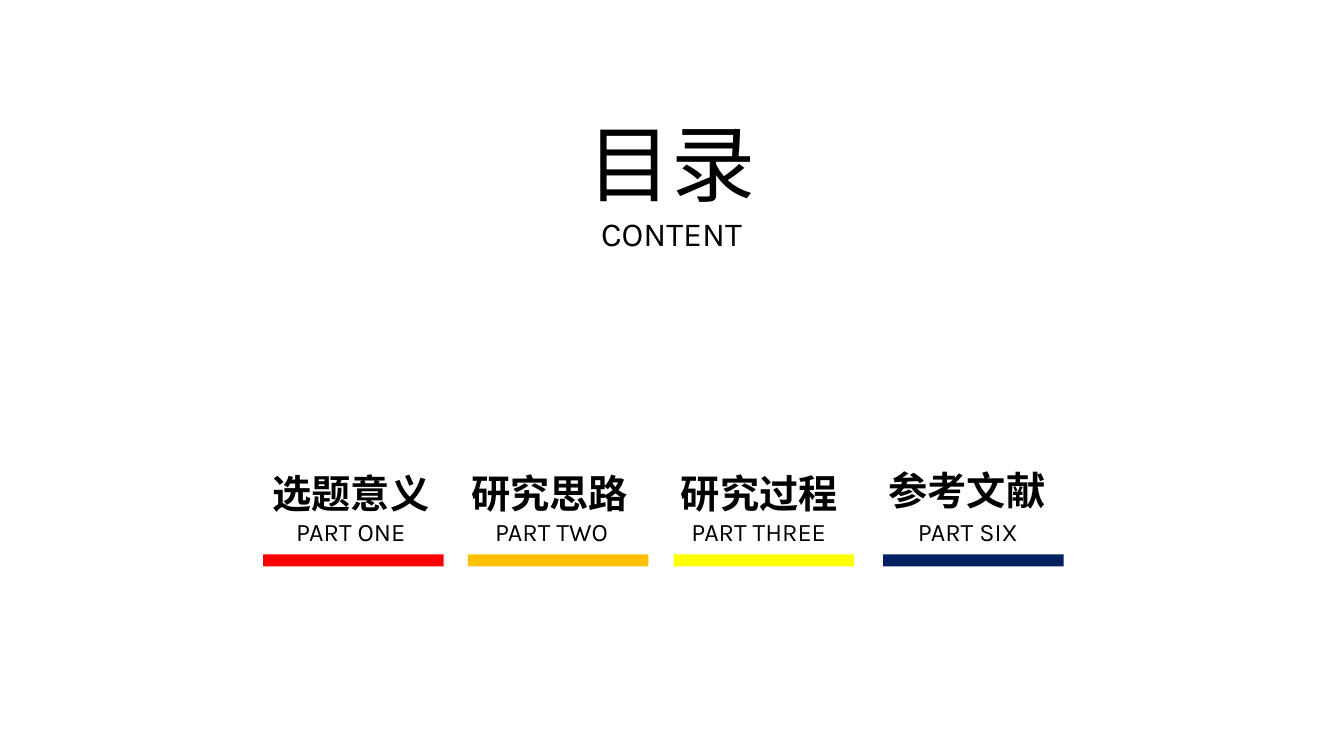
import pptx
import pptx.util
import pptx.dml.color
import pptx.enum.shapes
import pptx.enum.text

PX = 9144
FONT = "Karla"
COLORS = {
    "text": "000000",
    "one": "FF0000",
    "two": "FFC000",
    "three": "FFFF00",
    "six": "002060",
}
PARTS = [
    ("选题意义", "PART ONE", "one", 261, (-9, 447, 65), (7, 160)),
    ("研究思路", "PART TWO", "two", 464, (-15, 447, 65), (-4, 174)),
    ("研究过程", "PART THREE", "three", 668, (-11, 447, 65), (-9, 187)),
    ("参考文献", "PART SIX", "six", 876, (-13, 444, 71), (17, 134)),
]


def px(*lengths):
    return [pptx.util.Emu(length * PX) for length in lengths]


def rgb(name):
    return pptx.dml.color.RGBColor.from_string(COLORS[name])


def format_line(paragraph, size, bold=False):
    paragraph.alignment = pptx.enum.text.PP_ALIGN.CENTER
    for run in paragraph.runs:
        run.font.name = FONT
        run.font.size = pptx.util.Pt(size)
        run.font.bold = bold
        run.font.color.rgb = rgb("text")


def add_heading(slide, left, top, width, height):
    heading = slide.shapes.title
    heading.left, heading.top, heading.width, heading.height = px(left, top, width, height)
    frame = heading.text_frame
    frame.text = "目录\nCONTENT"
    frame.word_wrap = False
    frame.auto_size = pptx.enum.text.MSO_AUTO_SIZE.SHAPE_TO_FIT_TEXT
    frame.vertical_anchor = pptx.enum.text.MSO_ANCHOR.TOP
    for paragraph, size in zip(frame.paragraphs, (60, 24)):
        format_line(paragraph, size)


def add_label(slide, text, box, size, bold=False):
    frame = slide.shapes.add_textbox(*px(*box)).text_frame
    frame.text = text
    frame.word_wrap = True
    frame.auto_size = pptx.enum.text.MSO_AUTO_SIZE.SHAPE_TO_FIT_TEXT
    frame.paragraphs[0].line_spacing = 1.3
    format_line(frame.paragraphs[0], size, bold)


def add_part(slide, left, topic, number, color, topic_place, number_place):
    topic_shift, topic_top, topic_height = topic_place
    number_shift, number_width = number_place
    add_label(slide, number, (left + number_shift, 498, number_width, 49), 18)
    add_label(slide, topic, (left + topic_shift, topic_top, 192, topic_height), 28, True)
    bar = slide.shapes.add_shape(
        pptx.enum.shapes.MSO_SHAPE.RECTANGLE, *px(left, 550, 179, 12))
    bar.shadow.inherit = False
    bar.fill.solid()
    bar.fill.fore_color.rgb = rgb(color)
    bar.line.fill.background()


def main():
    deck = pptx.Presentation()
    deck.slide_width, deck.slide_height = px(1333, 750)
    contents = deck.slides.add_slide(deck.slide_layouts[5])
    add_heading(contents, 572, 106, 188, 151)
    for topic, number, color, left, topic_place, number_place in PARTS:
        add_part(contents, left, topic, number, color, topic_place, number_place)
    deck.save("out.pptx")


if __name__ == "__main__":
    main()
